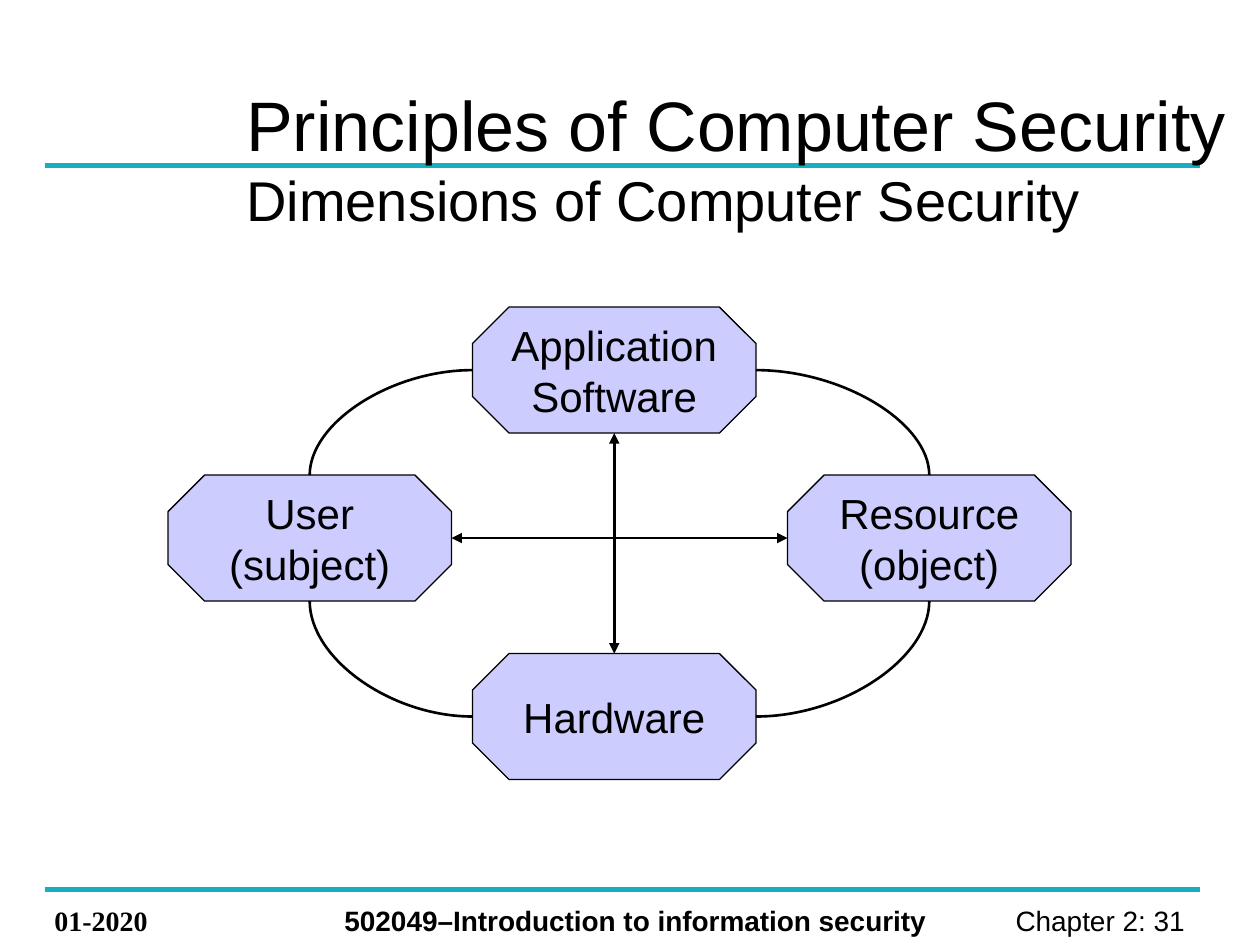
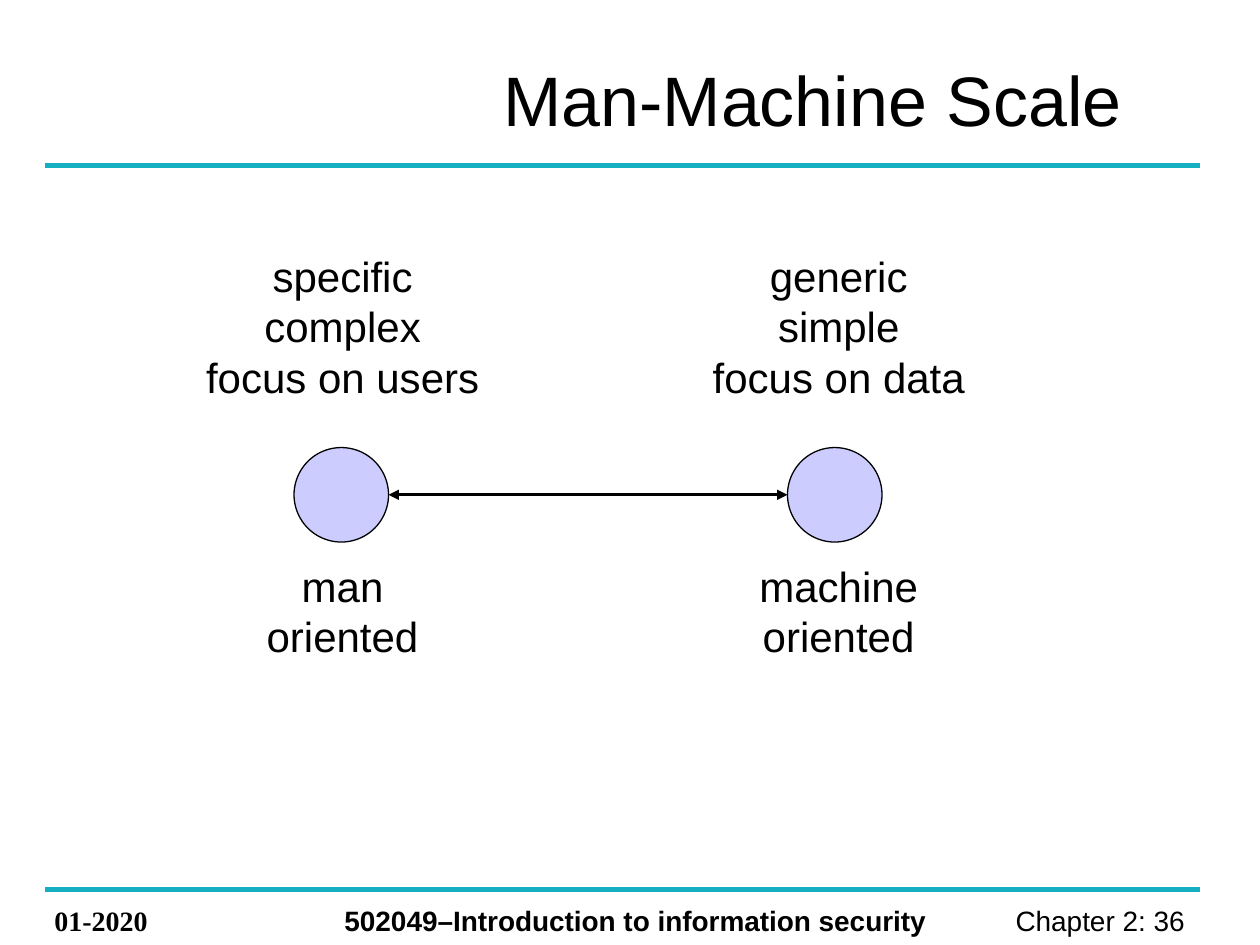
from dataclasses import dataclass
from lxml.etree import SubElement
from pptx import Presentation
from pptx.dml.color import RGBColor
from pptx.enum.shapes import MSO_CONNECTOR, MSO_SHAPE
from pptx.enum.text import MSO_ANCHOR, MSO_AUTO_SIZE, PP_ALIGN
from pptx.oxml.ns import qn
from pptx.util import Emu, Pt

SCALE = 9525  # EMU in one px, 96 px to the inch


def px(num):
    return Emu(num * SCALE)


@dataclass(frozen=True)
class Theme:
    ink: RGBColor = RGBColor(0, 0, 0)
    band: RGBColor = RGBColor(0x16, 0xAF, 0xC2)
    node: RGBColor = RGBColor(0xCC, 0xCC, 0xFF)
    sans: str = "Arial"
    serif: str = "Times New Roman"
    title: int = 40
    sub: int = 32
    body: int = 24
    foot: int = 16
    thin: float = 0.75
    link: float = 1.5
    rule: float = 3


class Deck:
    def __init__(self, theme):
        self.theme = theme
        self.prs = Presentation()
        self.prs.slide_width, self.prs.slide_height = px(960), px(720)
        self.slide = None

    def start(self, page, title, box, sub=None):
        """Add a slide with its bands, footer and title."""
        self.slide = self.prs.slides.add_slide(self.prs.slide_layouts[5])
        look = self.theme
        for y in (126, 678):
            self.line((34, y), (914, y), look.band, look.rule)
        self.text([f"Chapter 2: {page} "], (707, 684, 211, 36), look.foot,
                  PP_ALIGN.RIGHT)
        self.text(["01-2020"], (32, 684, 128, 36), look.foot,
                  PP_ALIGN.LEFT, look.serif, True)
        self.text(["502049–Introduction to information security"],
                  (253, 684, 484, 36), look.foot, PP_ALIGN.LEFT, bold=True)
        self.head(title, box, sub)

    def head(self, title, box, sub):
        shape = self.slide.shapes.title
        tree = shape.element.getparent()
        tree.append(shape.element)  # in front of the bands
        shape.left, shape.top, shape.width, shape.height = map(px, box)
        frame = shape.text_frame
        frame.auto_size = MSO_AUTO_SIZE.NONE
        frame.vertical_anchor = MSO_ANCHOR.MIDDLE
        para = frame.paragraphs[0]
        para.alignment = PP_ALIGN.LEFT
        self.run(para, title, self.theme.title)
        if sub:
            para.add_line_break()
            self.run(para, sub, self.theme.sub)

    def run(self, para, words, size, face=None, bold=False):
        run = para.add_run()
        run.text = words
        font = run.font
        font.name, font.size, font.bold = face or self.theme.sans, Pt(size), bold
        font.color.rgb = self.theme.ink

    def fill(self, frame, rows, size, align, face=None, bold=False):
        """Write one paragraph for each row."""
        for num, row in enumerate(rows):
            para = frame.add_paragraph() if num else frame.paragraphs[0]
            para.alignment = align
            self.run(para, row, size, face, bold)

    def text(self, rows, box, size, align=PP_ALIGN.CENTER, face=None, bold=False):
        frame = self.slide.shapes.add_textbox(*map(px, box)).text_frame
        frame.word_wrap = True
        self.fill(frame, rows, size, align, face, bold)

    def node(self, kind, box, rows=()):
        shape = self.slide.shapes.add_shape(kind, *map(px, box))
        shape.shadow.inherit = False
        shape.fill.solid()
        shape.fill.fore_color.rgb = self.theme.node
        shape.line.color.rgb = self.theme.ink
        shape.line.width = Pt(self.theme.thin)
        frame = shape.text_frame
        frame.word_wrap = False
        frame.vertical_anchor = MSO_ANCHOR.MIDDLE
        self.fill(frame, rows, self.theme.body, PP_ALIGN.CENTER)
        return shape

    def line(self, start, end, color, width, kind=MSO_CONNECTOR.STRAIGHT):
        link = self.slide.shapes.add_connector(kind, *map(px, start + end))
        link.line.color.rgb = color
        link.line.width = Pt(width)
        SubElement(link.element.spPr, qn("a:effectLst"))
        return link

    def arrow(self, start, end):
        link = self.line(start, end, self.theme.ink, self.theme.link)
        for tip in ("a:headEnd", "a:tailEnd"):
            SubElement(link.line._get_or_add_ln(), qn(tip), type="triangle")

    def curve(self, start, end):
        """Draw a quarter bend that leaves start sideways."""
        link = self.line(start, end, self.theme.ink, self.theme.link,
                         MSO_CONNECTOR.CURVE)
        link.element.spPr.find(qn("a:prstGeom")).set("prst", "curvedConnector2")

    def save(self):
        self.prs.save("out.pptx")


def sizes(deck):
    deck.start(31, "Principles of Computer Security", (178, 25, 771, 189),
               "Dimensions of Computer Security")
    wide, high = 216, 96
    left, mid, right = 128, 360, 600
    top, row, low = 234, 362, 498
    for x, y, rows in (
        (right, row, ("Resource", "(object)")),
        (left, row, ("User", "(subject)")),
        (mid, top, ("Application", "Software")),
        (mid, low, ("Hardware",)),
    ):
        shape = deck.node(MSO_SHAPE.OCTAGON, (x, y, wide, high), rows)
        shape.adjustments[0] = 0.29
    half, rise = wide // 2, high // 2
    deck.arrow((left + wide, row + rise), (right, row + rise))
    deck.arrow((mid + half, top + high), (mid + half, low))
    for y, edge in ((top + rise, row), (low + rise, row + high)):
        deck.curve((mid, y), (left + half, edge))
        deck.curve((mid + wide, y), (right + half, edge))


def scale(deck):
    deck.start(36, "Man-Machine Scale", (374, 33, 571, 84))
    size, top = 72, 341
    ends = (
        (224, 261, ("specific", "complex", "focus on users"), "man"),
        (600, 639, ("generic", "simple", "focus on data"), "machine"),
    )
    for x, mid, traits, name in ends:
        deck.node(MSO_SHAPE.OVAL, (x, top, size, size))
        deck.text(traits, (mid - 114, 186, 228, 125), deck.theme.body)
        deck.text((name, "oriented"), (mid - 70, 422, 140, 86), deck.theme.body)
    y = top + size // 2
    deck.arrow((ends[0][0] + size, y), (ends[1][0], y))


def main():
    deck = Deck(Theme())
    sizes(deck)
    scale(deck)
    deck.save()


if __name__ == "__main__":
    main()
